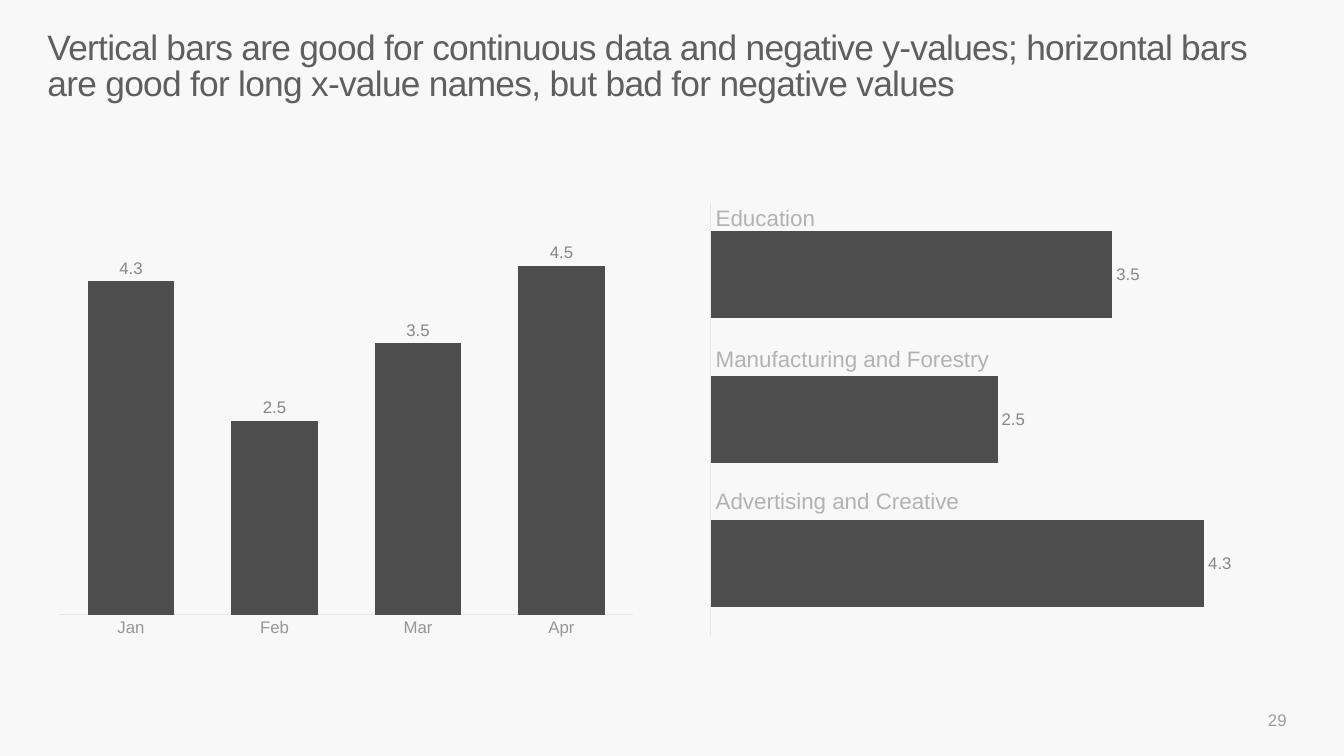
from pptx import Presentation
from pptx.chart.data import CategoryChartData
from pptx.dml.color import RGBColor
from pptx.enum.chart import XL_CHART_TYPE, XL_LABEL_POSITION, XL_TICK_LABEL_POSITION, XL_TICK_MARK
from pptx.enum.text import MSO_ANCHOR, PP_ALIGN
from pptx.util import Inches, Pt


def rgb(color):
    return RGBColor.from_string(color)


class ChartSlide:
    FONT = "Arial"
    BACKGROUND = "F8F8F8"
    TITLE = "5F5F5F"
    BAR = "4D4D4D"
    VALUE = "878787"
    AXIS_TEXT = "979797"
    AXIS_LINE = "E7E7E7"
    BAR_NAME = "B2B2B2"
    PAGE = "9D9D9D"

    def __init__(self, prs):
        self.s = prs.slides.add_slide(prs.slide_layouts[6])
        fill = self.s.background.fill
        fill.solid()
        fill.fore_color.rgb = rgb(self.BACKGROUND)

    def style(self, font, size, color):
        font.name = self.FONT
        font.size = Pt(size)
        font.color.rgb = rgb(color)

    def text(self, box, text, size, color, align=PP_ALIGN.LEFT, anchor=MSO_ANCHOR.TOP):
        sp = self.s.shapes.add_textbox(*map(Inches, box))
        tf = sp.text_frame
        tf.word_wrap = True
        tf.vertical_anchor = anchor
        tf.text = text
        p = tf.paragraphs[0]
        p.alignment = align
        self.style(p.runs[0].font, size, color)
        return tf

    def title(self, box, text):
        tf = self.text(box, text, 25.2, self.TITLE)
        tf.margin_left = tf.margin_right = tf.margin_top = tf.margin_bottom = 0
        p = tf.paragraphs[0]
        p.line_spacing = 0.86
        p.runs[0].font._element.set("spc", "-50")

    def chart(self, box, kind, categories, values, overlap=0, show_names=True):
        data = CategoryChartData()
        data.categories = categories
        data.add_series("Series 1", values)
        chart = self.s.shapes.add_chart(kind, *map(Inches, box), data).chart
        chart.has_legend = False
        chart.has_title = False
        self.style(chart.font, 10, self.TITLE)

        axis = chart.category_axis
        axis.major_tick_mark = axis.minor_tick_mark = XL_TICK_MARK.NONE
        axis.has_major_gridlines = False
        axis.format.line.color.rgb = rgb(self.AXIS_LINE)
        axis.format.line.width = Pt(0.75)
        self.style(axis.tick_labels.font, 12, self.AXIS_TEXT)
        if not show_names:
            axis.tick_label_position = XL_TICK_LABEL_POSITION.NONE

        scale = chart.value_axis
        scale.minimum_scale, scale.maximum_scale = 0, 5
        scale.has_major_gridlines = False
        scale.visible = False

        plot = chart.plots[0]
        plot.vary_by_categories = False
        plot.gap_width = 66
        plot.overlap = overlap
        series = plot.series[0]
        series.format.fill.solid()
        series.format.fill.fore_color.rgb = rgb(self.BAR)
        labels = series.data_labels
        labels.show_value = True
        labels.position = XL_LABEL_POSITION.OUTSIDE_END
        self.style(labels.font, 12, self.VALUE)


def main():
    prs = Presentation()
    prs.slide_width, prs.slide_height = Inches(13.33), Inches(7.5)
    slide = ChartSlide(prs)
    slide.title((0.47, 0.31, 12.39, 0.89),
                "Vertical bars are good for continuous data and negative y-values; "
                "horizontal bars are good for long x-value names, but bad for negative values")
    slide.chart((0.47, 2.17, 5.93, 4.23), XL_CHART_TYPE.COLUMN_CLUSTERED,
                ("Jan", "Feb", "Mar", "Apr"), (4.3, 2.5, 3.5, 4.5), overlap=-27)
    slide.text((9.86, 6.94, 3, 0.4), "29", 12, slide.PAGE, PP_ALIGN.RIGHT, MSO_ANCHOR.MIDDLE)
    slide.chart((6.93, 1.92, 5.93, 4.48), XL_CHART_TYPE.BAR_CLUSTERED,
                ("1", "2", "3"), (4.3, 2.5, 3.5), show_names=False)
    names = ("Education", "Manufacturing and Forestry", "Advertising and Creative")
    for i, name in enumerate(names):
        slide.text((7, 1.98 + 1.4 * i, 3.25, 0.37), name, 16, slide.BAR_NAME)
    prs.save("out.pptx")


if __name__ == "__main__":
    main()
